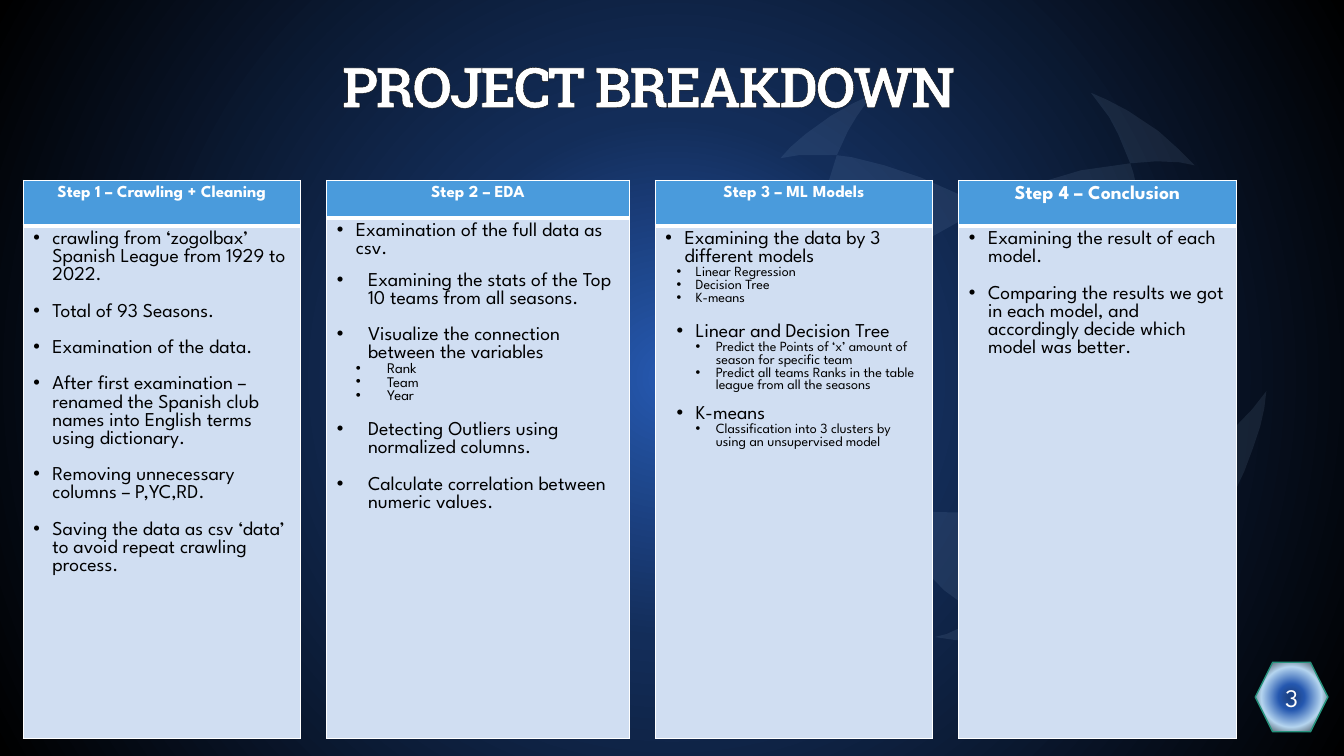
from dataclasses import dataclass

from lxml import etree
from pptx import Presentation
from pptx import util as u
from pptx.dml.color import RGBColor
from pptx.enum import shapes, text
from pptx.oxml import ns

SANS = "League Spartan"
WHITE, BLACK, PALE, HEAD = "FFFFFF", "000000", "D0DEF2", "4A9BDC"
TOP, TALL = 1.79, 5.54


@dataclass
class Item:
    text: str
    size: float = 14
    left: float = 0.19
    hang: float = 0.19
    gap: float = 0


@dataclass
class Step:
    title: str
    left: float
    items: list[Item]
    width: float = 2.75
    head: float = 0.45
    size: float = 12


@dataclass
class Stop:
    place: int
    color: str
    alpha: int = 100


STEPS = [
    Step("Step 1 – Crawling + Cleaning", 0.23, [
        Item("crawling from ‘zogolbax’ Spanish League from 1929 to 2022."),
        Item("Total of 93 Seasons.", gap=13),
        Item("Examination of the data.", gap=13),
        Item("After first examination – renamed the Spanish club names into "
             "English terms using dictionary.", gap=13),
        Item("Removing unnecessary columns – P,YC,RD.", gap=13),
        Item("Saving the data as csv ‘data’ to avoid repeat crawling process.", gap=13),
    ]),
    Step("Step 2 – EDA", 3.24, [
        Item("Examination of the full data as csv."),
        Item("Examining the stats of the Top 10 teams from all seasons.", 14, 0.31, 0.31, 9.7),
        Item("Visualize the connection between the variables", 14, 0.31, 0.31, 13),
        *[Item(name, 10.5, 0.5, 0.31) for name in ("Rank", "Team", "Year")],
        Item("Detecting Outliers using normalized columns.", 14, 0.31, 0.31, 13),
        Item("Calculate correlation between numeric values.", 14, 0.31, 0.31, 13),
    ], width=3, head=0.37),
    Step("Step 3 – ML Models", 6.5, [
        Item("Examining the data by 3 different models"),
        *[Item(name, 10, 0.3) for name in ("Linear Regression", "Decision Tree", "K-means")],
        Item("Linear and Decision Tree", 14, 0.3, gap=13),
        Item("Predict the Points of ‘x’ amount of season for specific team", 10, 0.5, 0.2),
        Item("Predict all teams Ranks in the table league from all the seasons", 10, 0.5, 0.2),
        Item("K-means", 14, 0.3, gap=9.2),
        Item("Classification into 3 clusters by using an unsupervised model", 10, 0.5, 0.2),
    ]),
    Step("Step 4 – Conclusion", 9.51, [
        Item("Examining the result of each model."),
        Item("Comparing the results we got in each model, and accordingly "
             "decide which model was better.", gap=13),
    ], size=14),
]

PATCHES = [
    [(1135, 323), (1130, 357), (1119, 402), (1104, 446), (1080, 498), (1111, 489),
     (1147, 476), (1179, 459), (1211, 436), (1206, 423), (1191, 396), (1173, 367), (1149, 338)],
    [(1080, 498), (1042, 504), (984, 509), (928, 508), (870, 500), (886, 527), (910, 559),
     (937, 586), (974, 613), (997, 598), (1026, 572), (1052, 541), (1075, 507)],
    [(813, 324), (776, 368), (757, 397), (736, 438), (754, 453), (783, 471), (817, 486),
     (870, 500), (854, 470), (837, 427), (824, 382), (815, 335)],
    [(1082, 92), (1100, 116), (1109, 133), (1121, 162), (1147, 160), (1170, 161), (1185, 164),
     (1170, 149), (1149, 130), (1119, 110), (1098, 99)],
    [(830, 154), (821, 183), (813, 225), (810, 268), (813, 324), (839, 298), (880, 265),
     (924, 235), (976, 206), (954, 194), (913, 176), (877, 164), (845, 156)],
    [(1121, 162), (1072, 169), (1035, 180), (1006, 191), (976, 206), (1018, 230), (1049, 251),
     (1077, 271), (1103, 292), (1135, 323), (1138, 291), (1138, 249), (1133, 209), (1124, 171)],
    [(974, 613), (939, 629), (927, 632), (947, 635), (969, 636), (997, 635), (1023, 632),
     (1004, 627), (986, 619)],
    [(1256, 388), (1242, 406), (1218, 431), (1211, 436), (1223, 475), (1225, 487), (1234, 468),
     (1243, 444), (1250, 423), (1254, 405)],
    [(865, 94), (847, 102), (824, 115), (799, 133), (784, 146), (774, 157), (792, 154),
     (830, 154), (841, 130), (850, 115)],
    [(695, 387), (698, 409), (706, 438), (716, 466), (722, 478), (732, 448), (736, 438),
     (717, 419), (699, 394)],
]


def rgb(code: str) -> RGBColor:
    return RGBColor.from_string(code)


def add(parent, tag: str, **attrs):
    return etree.SubElement(parent, ns.qn(tag), {k: str(v) for k, v in attrs.items()})


def tint(parent, code: str, alpha: int = 100) -> None:
    color = add(parent, "a:srgbClr", val=code)
    if alpha < 100:
        add(color, "a:alpha", val=alpha * 1000)


def glow(root, stops: list[Stop]) -> None:
    grad = root.find(".//" + ns.qn("a:gradFill"))
    for child in list(grad):
        grad.remove(child)
    band = add(grad, "a:gsLst")
    for stop in stops:
        tint(add(band, "a:gs", pos=stop.place * 1000), stop.color, stop.alpha)
    shade = add(grad, "a:path", path="circle")
    add(shade, "a:fillToRect", l=50000, t=50000, r=50000, b=50000)


def draw_patch(slide, points: list[tuple[int, int]]) -> None:
    pen = slide.shapes.build_freeform(*points[0], scale=u.Inches(0.01))
    pen.add_line_segments(points[1:], close=True)
    patch = pen.convert_to_shape()
    patch.shadow.inherit = False
    patch.line.fill.background()
    patch.fill.solid()
    patch.fill.fore_color.rgb = rgb("B8D9FF")
    color = patch._element.spPr.find(".//" + ns.qn("a:srgbClr"))
    add(color, "a:alpha", val=9000)


def style(font, size: float, code: str, bold: bool = False, face: str = SANS) -> None:
    font.name, font.size, font.bold = face, u.Pt(size), bold
    font.color.rgb = rgb(code)


def paint(cell, code: str, base: float) -> None:
    cell.fill.solid()
    cell.fill.fore_color.rgb = rgb(code)
    props = cell._tc.get_or_add_tcPr()
    for spot, (side, wide) in enumerate(zip("LRTB", (1, 1, 1, base))):
        edge = add(props, f"a:ln{side}", w=u.Pt(wide))
        tint(add(edge, "a:solidFill"), WHITE)
        props.insert(spot, edge)


def write(para, item: Item) -> None:
    para.text = item.text
    style(para.font, item.size, BLACK)
    para.space_before = u.Pt(item.gap)
    props = para._p.get_or_add_pPr()
    props.set("marL", str(u.Inches(item.left)))
    props.set("indent", str(-u.Inches(item.hang)))
    dot = add(props, "a:buChar", char="•")
    props.find(ns.qn("a:defRPr")).addprevious(dot)


def draw_step(slide, step: Step) -> None:
    frame = slide.shapes.add_table(2, 1, u.Inches(step.left), u.Inches(TOP),
                                   u.Inches(step.width), u.Inches(TALL))
    table = frame.table
    table.first_row = table.horz_banding = False
    table.rows[0].height = u.Inches(step.head)
    table.rows[1].height = u.Inches(TALL - step.head)
    head, body = table.cell(0, 0), table.cell(1, 0)
    paint(head, HEAD, 3)
    paint(body, PALE, 1)
    para = head.text_frame.paragraphs[0]
    para.text = step.title
    para.alignment = text.PP_ALIGN.CENTER
    style(para.font, step.size, WHITE, True)
    for spot, item in enumerate(step.items):
        frame = body.text_frame
        write(frame.add_paragraph() if spot else frame.paragraphs[0], item)


def draw_title(slide) -> None:
    box = slide.shapes.add_textbox(u.Inches(1.72), u.Inches(0.54), u.Inches(9.42), u.Inches(0.87))
    box.text_frame.word_wrap = True
    para = box.text_frame.paragraphs[0]
    para.alignment = text.PP_ALIGN.CENTER
    para.line_spacing = 0.9
    run = para.add_run()
    run.text = "PROJECT BREAKDOWN"
    style(run.font, 40, WHITE, True, "Roboto Slab")
    props = run._r.get_or_add_rPr()
    props.set("spc", "-150")
    edge = add(props, "a:ln", w=u.Pt(0.75))
    tint(add(edge, "a:solidFill"), BLACK)
    props.insert(0, edge)


def draw_badge(slide) -> None:
    badge = slide.shapes.add_shape(shapes.MSO_SHAPE.HEXAGON, u.Inches(12.45), u.Inches(6.57),
                                   u.Inches(0.72), u.Inches(0.69))
    badge.shadow.inherit = False
    badge.fill.gradient()
    glow(badge._element, [Stop(7, "1E468C", 95), Stop(26, "2659B1"),
                          Stop(60, "B7D7F1"), Stop(100, BLACK)])
    badge.line.color.rgb = rgb("25937D")
    badge.line.width = u.Pt(1)
    badge.text_frame.vertical_anchor = text.MSO_ANCHOR.MIDDLE
    para = badge.text_frame.paragraphs[0]
    para.text = "3"
    para.alignment = text.PP_ALIGN.CENTER
    style(para.font, 18, WHITE)


def main() -> None:
    deck = Presentation()
    deck.slide_width, deck.slide_height = u.Inches(13.33), u.Inches(7.5)
    slide = deck.slides.add_slide(deck.slide_layouts[6])
    slide.background.fill.gradient()
    glow(slide._element, [Stop(0, "2659B1"), Stop(34, "132D59"), Stop(100, BLACK)])
    for points in PATCHES:
        draw_patch(slide, points)
    draw_title(slide)
    for step in STEPS:
        draw_step(slide, step)
    draw_badge(slide)
    deck.save("out.pptx")


if __name__ == "__main__":
    main()
